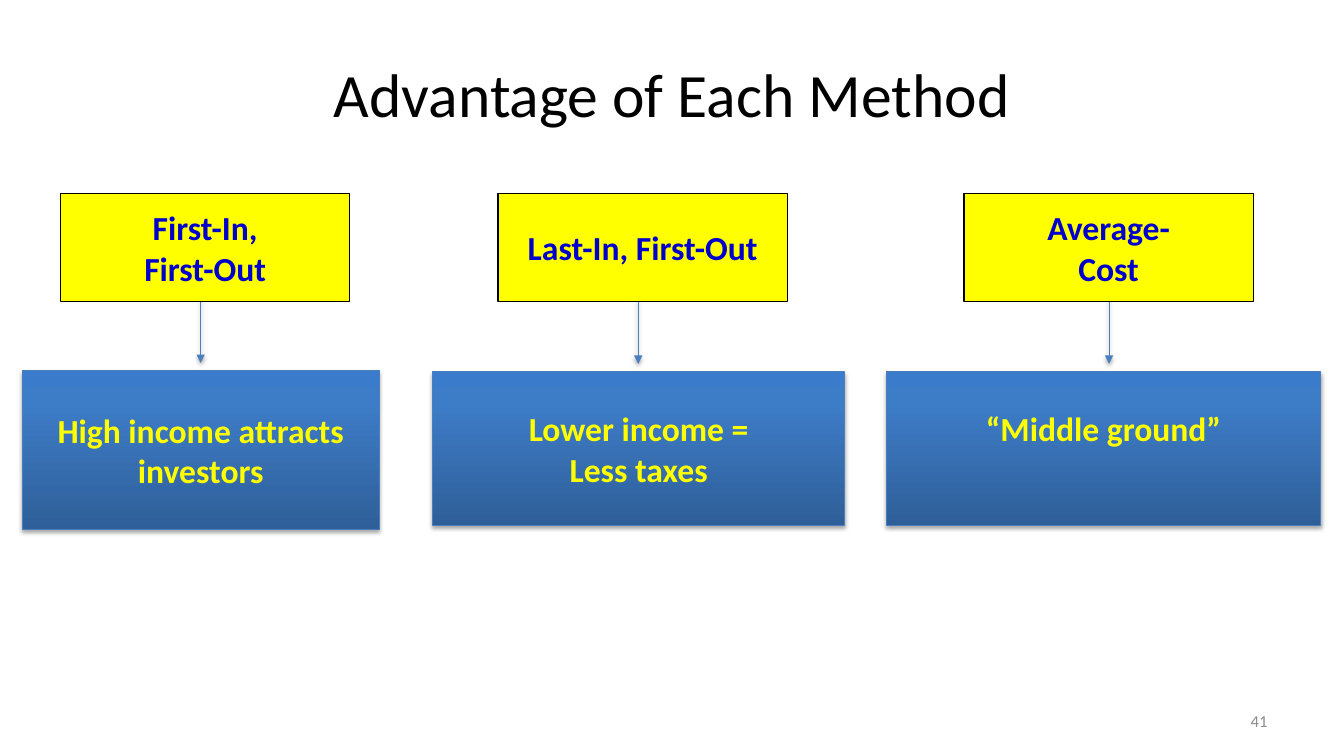
from lxml.etree import SubElement
from pptx import Presentation
from pptx.dml.color import RGBColor as RGB
from pptx.enum.shapes import MSO_CONNECTOR as CONN, MSO_SHAPE as SHAPE
from pptx.enum.text import MSO_ANCHOR as ANCHOR, PP_ALIGN as ALIGN
from pptx.oxml.ns import qn
from pptx.util import Inches, Pt

COLORS = {
    "title": "000000", "number": "8C8C8C", "method": "FFFF00",
    "method_text": "0000CC", "method_line": "000000", "benefit_text": "FFFF00",
    "line": "4B7EBC", "dark": "2F5F99", "mid": "3D7CC7", "light": "3A7CCB",
    "shadow": "000000",
}
METHODS = [
    {"head": ["First-In,", "First-Out"], "head_x": 4.5,
     "benefit": ["High income attracts investors"],
     "box": (1.65, 49.07, 26.56, 20.93), "arrow": (14.93, 38.93, 48)},
    {"head": ["Last-In, First-Out"], "head_x": 37.06,
     "benefit": ["Lower income =", "Less taxes"],
     "box": (32.18, 49.2, 30.68, 20.27), "arrow": (47.49, 39.47, 48.13)},
    {"head": ["Average-", "Cost"], "head_x": 71.72,
     "benefit": ["“Middle ground”"], "bottom": 0.45,
     "box": (65.94, 49.2, 32.33, 20.27), "arrow": (82.52, 39.47, 48.13)},
]


def add_xml(parent, tag, **attrs):
    return SubElement(parent, qn(tag), {k: str(v) for k, v in attrs.items()})


class Deck:
    def __init__(self, font="Calibri"):
        self.font = font
        self.prs = Presentation()
        self.prs.slide_width, self.prs.slide_height = Inches(13.33), Inches(7.5)
        self.slide = self.prs.slides.add_slide(self.prs.slide_layouts[5])

    def x(self, share):
        return round(self.prs.slide_width * share / 100)

    def y(self, share):
        return round(self.prs.slide_height * share / 100)

    def area(self, left, top, width, height):
        return self.x(left), self.y(top), self.x(width), self.y(height)

    def put_text(self, s, lines, color, size, bold=False, align=ALIGN.CENTER, bottom=0.05):
        tf = s.text_frame
        frame = {"word_wrap": True, "vertical_anchor": ANCHOR.MIDDLE,
                 "margin_left": Inches(0.1), "margin_right": Inches(0.1),
                 "margin_top": Inches(0.05), "margin_bottom": Inches(bottom)}
        for name, value in frame.items():
            setattr(tf, name, value)
        for i, line in enumerate(lines):
            p = tf.add_paragraph() if i else tf.paragraphs[0]
            p.alignment = align
            r = p.add_run()
            r.text = line
            for name, value in {"name": self.font, "size": Pt(size), "bold": bold}.items():
                setattr(r.font, name, value)
            r.font.color.rgb = RGB.from_string(COLORS[color])

    def title(self, text, area):
        s = self.slide.shapes.title
        for name, value in zip(("left", "top", "width", "height"), self.area(*area)):
            setattr(s, name, value)
        self.put_text(s, [text], "title", 44)

    def number(self, text, area):
        s = self.slide.shapes.add_textbox(*self.area(*area))
        self.put_text(s, [text], "number", 12, align=ALIGN.RIGHT)

    def outline(self, s, color, width):
        s.line.color.rgb = RGB.from_string(COLORS[color])
        s.line.width = Pt(width)

    def cast_shadow(self, props):
        effects = add_xml(props, "a:effectLst")
        shadow = add_xml(effects, "a:outerShdw", blurRad=Pt(3.1), dist=Pt(1.8),
                         dir=5400000, rotWithShape=0)
        color = add_xml(shadow, "a:srgbClr", val=COLORS["shadow"])
        add_xml(color, "a:alpha", val=35000)

    def method(self, lines, area):
        s = self.slide.shapes.add_shape(SHAPE.RECTANGLE, *self.area(*area))
        s.shadow.inherit = False
        s.fill.solid()
        s.fill.fore_color.rgb = RGB.from_string(COLORS["method"])
        self.outline(s, "method_line", 1)
        self.put_text(s, lines, "method_text", 24, True)

    def benefit(self, lines, area, bottom):
        s = self.slide.shapes.add_shape(SHAPE.RECTANGLE, *self.area(*area))
        props = s.element.spPr
        grad = add_xml(props, "a:gradFill", rotWithShape=1)
        stops = add_xml(grad, "a:gsLst")
        for pos, color in ((0, "dark"), (80, "mid"), (100, "light")):
            stop = add_xml(stops, "a:gs", pos=pos * 1000)
            add_xml(stop, "a:srgbClr", val=COLORS[color])
        add_xml(grad, "a:lin", ang=16200000, scaled=0)
        self.outline(s, "line", 0.75)
        self.cast_shadow(props)
        self.put_text(s, lines, "benefit_text", 24, True, bottom=bottom)

    def arrow(self, left, top, end):
        c = self.slide.shapes.add_connector(
            CONN.STRAIGHT, self.x(left), self.y(top), self.x(left), self.y(end))
        self.outline(c, "line", 0.75)
        props = c.element.spPr
        add_xml(props.find(qn("a:ln")), "a:tailEnd", type="triangle")
        self.cast_shadow(props)


def main():
    deck = Deck()
    deck.title("Advantage of Each Method", (5, 4, 90, 16.67))
    deck.number("41", (71.72, 92.67, 23.33, 5.33))
    for m in METHODS:
        deck.benefit(m["benefit"], m["box"], m.get("bottom", 0.05))
        deck.arrow(*m["arrow"])
        deck.method(m["head"], (m["head_x"], 25.6, 21.53, 14.27))
    deck.prs.save("out.pptx")


if __name__ == "__main__":
    main()
